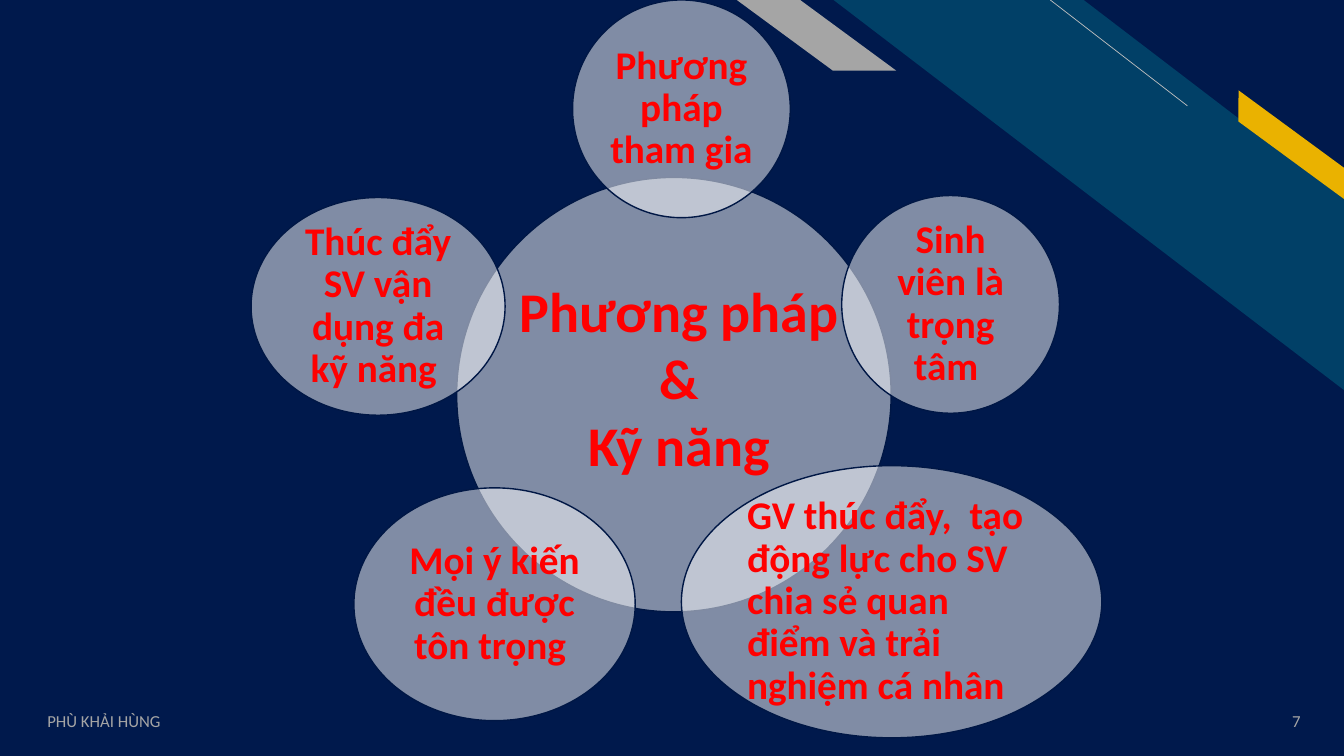
from lxml.etree import SubElement
from pptx import Presentation
from pptx.dml.color import RGBColor
from pptx.enum.shapes import MSO_CONNECTOR, MSO_SHAPE
from pptx.enum.text import MSO_ANCHOR, MSO_AUTO_SIZE, PP_ALIGN
from pptx.oxml.ns import qn
from pptx.util import Inches, Pt

COLORS = {
    "navy": "00194C", "outline": "001745", "teal": "014067", "gold": "EAB200",
    "gray": "A5A5A5", "silver": "BFBFBF", "white": "FFFFFF", "red": "FF0000",
}
RGB = {name: RGBColor.from_string(value) for name, value in COLORS.items()}

deck = Presentation()
deck.slide_width, deck.slide_height = Inches(13.33), Inches(7.5)
slide = deck.slides.add_slide(deck.slide_layouts[5])
shapes = slide.shapes
slide.background.fill.solid()
slide.background.fill.fore_color.rgb = RGB["navy"]


def share(*percents):
    """Turn alternating x and y percentages of the slide into lengths."""
    sides = (deck.slide_width, deck.slide_height)
    return [int(sides[i % 2] * p / 100) for i, p in enumerate(percents)]


def write(frame, lines, size, color, align, bold=True, **layout):
    """Fill a text frame with one format; layout holds frame attributes."""
    frame.text = "\n".join(lines)
    for name, value in layout.items():
        setattr(frame, name, value)
    for paragraph in frame.paragraphs:
        paragraph.alignment = align
        look = {"name": "Calibri", "size": Pt(size), "bold": bold}
        for name, value in look.items():
            setattr(paragraph.font, name, value)
        paragraph.font.color.rgb = RGB[color]


# Corner decoration: preset, place, adjustment, rotation, colour
bands = [
    (MSO_SHAPE.DIAGONAL_STRIPE, (62.02, 0, 37.98, 51.6), 0.51, 0, "teal"),
    (MSO_SHAPE.PARALLELOGRAM, (90.53, 17.47, 11.1, 3.33), 0.72, 36.3, "gold"),
    (MSO_SHAPE.PARALLELOGRAM, (54.83, 0, 11.85, 9.33), 1.36, 0, "gray"),
]
for preset, place, slant, rotation, color in bands:
    band = shapes.add_shape(preset, *share(*place))
    band.shadow.inherit = False
    band.adjustments[0] = slant
    band.rotation = rotation
    band.fill.solid()
    band.fill.fore_color.rgb = RGB[color]
    band.line.fill.background()
    band._element.spPr.find(qn("a:xfrm")).set("flipH", "1")

hairline = shapes.add_connector(MSO_CONNECTOR.STRAIGHT, *share(88.35, 14, 78.15, 0))
hairline.line.color.rgb = RGB["silver"]
hairline.line.width = Pt(0.5)
SubElement(hairline._element.spPr, qn("a:effectLst"))

# Author and page number
footers = [
    ("PHÙ KHẢI HÙNG", (2.78, 92.67, 33.75, 5.33), PP_ALIGN.LEFT),
    ("7", (91.43, 92.67, 6.08, 5.33), PP_ALIGN.RIGHT),
]
for words, place, align in footers:
    footer = shapes.add_textbox(*share(*place))
    write(footer.text_frame, [words], 12, "gray", align, bold=False,
          word_wrap=True, vertical_anchor=MSO_ANCHOR.MIDDLE)

# Central circle first, then the five principles around it
circles = [
    ("", (33.98, 23.47, 32.33, 57.47), PP_ALIGN.CENTER),
    ("Phương pháp tham gia ", (42.6, 0, 16.2, 28.8), PP_ALIGN.CENTER),
    ("Sinh viên là trọng tâm ", (62.63, 25.87, 16.2, 28.8), PP_ALIGN.CENTER),
    ("GV thúc đẩy,  tạo động lực cho SV chia sẻ quan điểm và trải nghiệm cá nhân",
     (50.7, 61.6, 31.28, 36), PP_ALIGN.LEFT),
    ("Mọi ý kiến đều được tôn trọng ", (26.33, 64.53, 20.93, 30.8), PP_ALIGN.CENTER),
    ("Thúc đẩy SV vận dụng đa kỹ năng ", (18.68, 26.13, 18.9, 28.8), PP_ALIGN.CENTER),
]
margins = {f"margin_{side}": Inches(0.04) for side in ("left", "top", "right", "bottom")}
for principle, place, align in circles:
    circle = shapes.add_shape(MSO_SHAPE.OVAL, *share(*place))
    circle.shadow.inherit = False
    circle.fill.solid()
    circle.fill.fore_color.rgb = RGB["white"]
    white = circle._element.spPr.find(qn("a:solidFill")).find(qn("a:srgbClr"))
    SubElement(white, qn("a:alpha"), val="50000")
    circle.line.color.rgb = RGB["outline"]
    circle.line.width = Pt(1)
    if principle:
        write(circle.text_frame, [principle], 28, "red", align, word_wrap=True,
              vertical_anchor=MSO_ANCHOR.MIDDLE, **margins)
        circle.text_frame.paragraphs[0].line_spacing = 0.9

# The title sits in front of the central circle
title = shapes.title
title.left, title.top, title.width, title.height = share(37.8, 35.87, 26.4, 28.27)
write(title.text_frame, ["Phương pháp ", "& ", "Kỹ năng "], 40, "red", PP_ALIGN.CENTER,
      word_wrap=False, auto_size=MSO_AUTO_SIZE.NONE, vertical_anchor=MSO_ANCHOR.TOP)
shapes._spTree.append(title._element)

deck.save("out.pptx")
